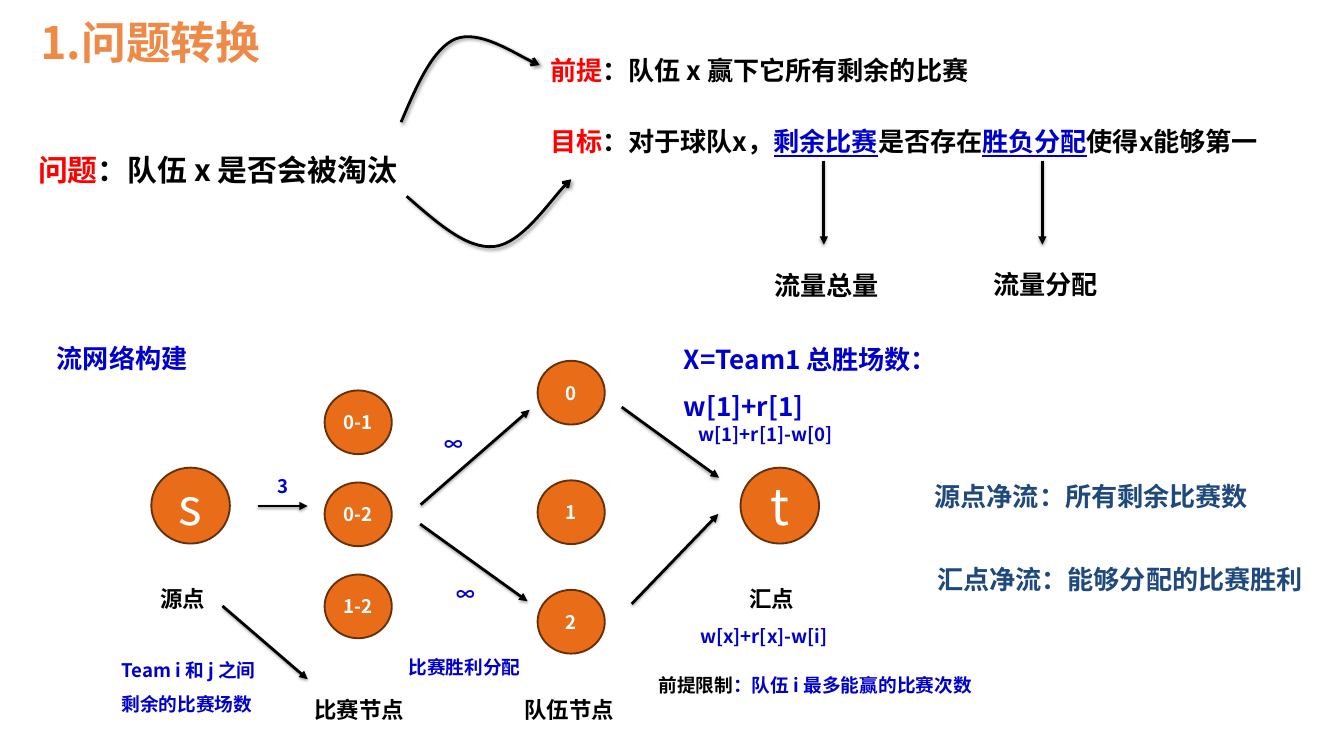
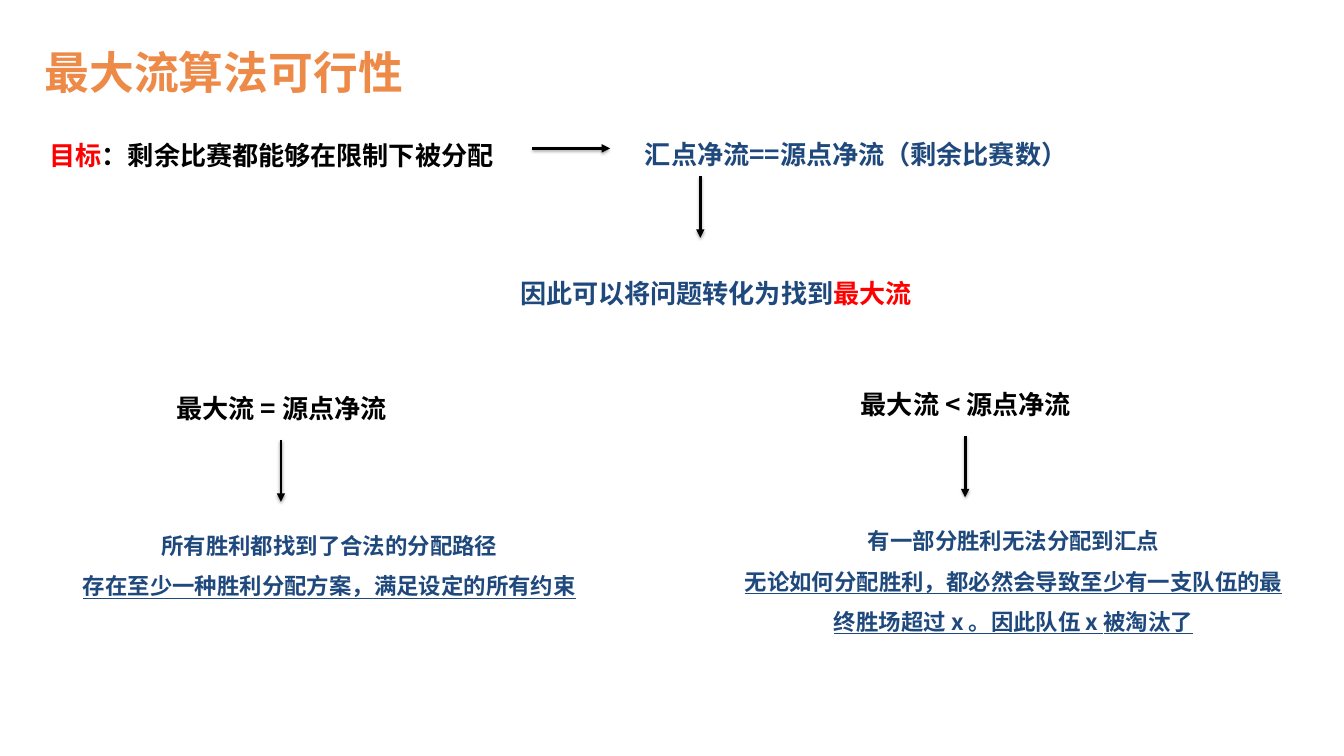
"""Two slides that turn the elimination problem into a maximum flow problem."""
from dataclasses import dataclass
from typing import NamedTuple

from lxml import etree
from pptx import Presentation
from pptx import util as u
from pptx.dml.color import RGBColor
from pptx.enum import shapes, text
from pptx.oxml import ns
from pptx.slide import Slide


class TypeSize(NamedTuple):
    """A type size in points and the height in cm of a one-line box."""
    pt: int
    height: float


@dataclass(frozen=True)
class Theme:
    """Colours and type sizes shared by the slides."""
    font: str = "Noto Sans CJK SC"
    orange: str = "E96D19"
    rim: str = "66300B"
    red: str = "FF0000"
    blue: str = "0000CC"
    navy: str = "1F497D"
    black: str = "000000"
    white: str = "FFFFFF"
    title: TypeSize = TypeSize(48, 2.31)
    question: TypeSize = TypeSize(32, 2.06)
    body: TypeSize = TypeSize(28, 1.83)
    caption: TypeSize = TypeSize(24, 1.63)
    small: TypeSize = TypeSize(20, 1.4)
    terminal: TypeSize = TypeSize(54, 2.87)
    stroke: float = 3
    title_alpha: int = 80


T = Theme()


class Span(NamedTuple):
    """A stretch of text in one colour."""
    text: str
    color: str = T.black
    underline: bool = False


class Label(NamedTuple):
    """A text box; each paragraph is a list of spans."""
    x: float
    y: float
    w: float
    paragraphs: list[list[Span]]
    size: TypeSize = T.body
    lines: int = 1
    centred: bool = False
    spacing: float = 1.5


class Node(NamedTuple):
    """A round vertex of the flow network."""
    x: float
    y: float
    w: float
    h: float
    text: str
    size: TypeSize = T.small
    bold: bool = True


class Arrow(NamedTuple):
    """A straight arrow between two points."""
    x1: float
    y1: float
    x2: float
    y2: float


class Shadow(NamedTuple):
    """A black outer shadow."""
    alpha: int
    blur: float
    dist: float
    angle: int


LINE_SHADOW = Shadow(35, 3.1, 1.8, 90)
CURVE_SHADOW = Shadow(40, 4, 3, 45)


def sub(parent, tag: str, **attrs) -> etree._Element:
    """Append a DrawingML child element."""
    return etree.SubElement(parent, ns.qn(tag), {k: str(v) for k, v in attrs.items()})


def style_run(r, size: TypeSize, color: str, **attrs) -> None:
    """Set the font of a run for Latin and East Asian text."""
    for k, v in dict(name=T.font, size=u.Pt(size.pt), **attrs).items():
        setattr(r.font, k, v)
    r.font.color.rgb = RGBColor.from_string(color)
    sub(r.font._element, "a:ea", typeface=T.font)


def style_arrow(sp, head: str, shadow: Shadow) -> None:
    """Give a line its stroke, arrowhead and shadow."""
    sp.line.color.rgb = RGBColor.from_string(T.black)
    sp.line.width = u.Pt(T.stroke)
    sub(sp.line._get_or_add_ln(), "a:tailEnd", type=head)
    effects = sub(sp._element.spPr, "a:effectLst")
    outer = sub(effects, "a:outerShdw", blurRad=u.Pt(shadow.blur), dist=u.Pt(shadow.dist),
                dir=shadow.angle * 60000, rotWithShape=0)
    sub(sub(outer, "a:srgbClr", val=T.black), "a:alpha", val=shadow.alpha * 1000)


def add_label(s: Slide, label: Label):
    """Draw a text box and return it."""
    sp = s.shapes.add_textbox(u.Cm(label.x), u.Cm(label.y), u.Cm(label.w),
                              u.Cm(label.size.height * label.lines))
    tf = sp.text_frame
    tf.word_wrap = True
    tf.auto_size = text.MSO_AUTO_SIZE.SHAPE_TO_FIT_TEXT
    for i, spans in enumerate(label.paragraphs):
        p = tf.add_paragraph() if i else tf.paragraphs[0]
        p.alignment = text.PP_ALIGN.CENTER if label.centred else text.PP_ALIGN.LEFT
        p.line_spacing = label.spacing
        for span in spans:
            r = p.add_run()
            r.text = span.text
            style_run(r, label.size, span.color, bold=True, underline=span.underline)
    return sp


def add_title(s: Slide, x: float, y: float, w: float, words: str) -> None:
    """Draw the translucent orange title."""
    sp = add_label(s, Label(x, y, w, [[Span(words, T.orange)]], T.title, 1, True, 1.0))
    for color in sp._element.iter(ns.qn("a:srgbClr")):
        sub(color, "a:alpha", val=T.title_alpha * 1000)


def add_node(s: Slide, node: Node) -> None:
    """Draw a vertex with its name."""
    sp = s.shapes.add_shape(shapes.MSO_SHAPE.OVAL, *map(u.Cm, node[:4]))
    sp.shadow.inherit = False
    sp.fill.solid()
    sp.fill.fore_color.rgb = RGBColor.from_string(T.orange)
    sp.line.color.rgb = RGBColor.from_string(T.rim)
    sp.line.width = u.Pt(2)
    tf = sp.text_frame
    tf.vertical_anchor = text.MSO_ANCHOR.MIDDLE
    p = tf.paragraphs[0]
    p.alignment = text.PP_ALIGN.CENTER
    r = p.add_run()
    r.text = node.text
    style_run(r, node.size, T.white, bold=node.bold)


def add_arrow(s: Slide, arrow: Arrow) -> None:
    """Draw a straight arrow."""
    sp = s.shapes.add_connector(shapes.MSO_CONNECTOR.STRAIGHT, *map(u.Cm, arrow))
    style_arrow(sp, "triangle", LINE_SHADOW)


def add_curve(s: Slide, points: list[tuple[float, float]]) -> None:
    """Draw a curved arrow from a start point and Bézier triples."""
    start, *rest = [(u.Cm(x), u.Cm(y)) for x, y in points]
    builder = s.shapes.build_freeform(*start)
    builder.add_line_segments(rest, close=False)
    sp = builder.convert_to_shape()
    steps = list(sp._element.iter(ns.qn("a:lnTo")))
    outline = steps[0].getparent()
    for i in range(0, len(steps), 3):
        bezier = sub(outline, "a:cubicBezTo")
        for step in steps[i:i + 3]:
            bezier.append(step[0])
            outline.remove(step)
    sp.fill.background()
    style_arrow(sp, "arrow", CURVE_SHADOW)


def draw(s: Slide, labels: list[Label], arrows: list[Arrow]) -> None:
    """Draw the labels and arrows of a slide."""
    for arrow in arrows:
        add_arrow(s, arrow)
    for label in labels:
        add_label(s, label)


def build_conversion(s: Slide) -> None:
    """Build the slide on the problem and its flow network."""
    add_title(s, -3.81, 0.43, 19, "1.问题转换")
    for i, name in enumerate(("0-1", "0-2", "1-2")):
        add_node(s, Node(12.27, 14.76 + 3.48 * i, 2.54, 2.41, name))
    for name, y in (("0", 13.64), ("1", 18.16), ("2", 22.3)):
        add_node(s, Node(20.32, y, 2.54, 2.41, name))
    for name, x in (("s", 5.72), ("t", 27.99)):
        add_node(s, Node(x, 17.68, 2.97, 2.87, name, T.terminal, False))

    goal = [Span("目标", T.red), Span("：对于球队x，"), Span("剩余比赛", T.blue, True),
            Span("是否存在"), Span("胜负分配", T.blue, True), Span("使得x能够第一")]
    labels = [
        Label(1.19, 4.93, 14.96, [[Span("问题", T.red), Span("：队伍 x 是否会被淘汰")]], T.question),
        Label(20.55, 1.32, 17.07, [[Span("前提", T.red), Span("：队伍 x 赢下它所有剩余的比赛")]]),
        Label(20.55, 4.04, 28.3, [goal]),
        Label(29.03, 9.45, 4.65, [[Span("流量总量")]]),
        Label(37.29, 9.42, 4.65, [[Span("流量分配")]]),
        Label(1.9, 12.22, 5.92, [[Span("流网络构建", T.blue)]]),
        Label(25.6, 12.27, 13.6, [[Span("X=Team1 总胜场数：w[1]+r[1]", T.blue)]]),
        Label(35.08, 17.45, 13.77, [[Span("源点净流：所有剩余比赛数", T.navy)]]),
        Label(35.18, 20.57, 14.58, [[Span("汇点净流：能够分配的比赛胜利", T.navy)]]),
        Label(24.64, 24.94, 12.83,
              [[Span("前提限制"), Span("：队伍 i 最多能赢的比赛次数", T.blue)]], T.small),
        Label(4.34, 24.36, 5.92, [[Span("Team i 和 j 之间剩余的比赛场数", T.blue)]], T.small, 2),
    ]
    captions = [(5.82, 21.49, 2.97, "源点"), (28.07, 21.49, 2.97, "汇点"),
                (11.63, 25.68, 4.65, "比赛节点"), (19.58, 25.68, 4.01, "队伍节点")]
    capacities = [(10.24, 17.42, 1.75, "3"), (16.56, 15.82, 1.73, "∞"),
                  (17.02, 21.49, 1.73, "∞"), (15.19, 24.26, 5.61, "比赛胜利分配"),
                  (26.16, 15.44, 6.58, "w[1]+r[1]-w[0]"), (26.21, 23.06, 5.94, "w[x]+r[x]-w[i]")]
    labels += [Label(x, y, w, [[Span(words)]], T.caption) for x, y, w, words in captions]
    labels += [Label(x, y, w, [[Span(words, T.blue)]], T.small) for x, y, w, words in capacities]
    draw(s, labels, [
        Arrow(31.14, 6.07, 31.14, 9.25), Arrow(39.4, 6.07, 39.4, 9.25),
        Arrow(9.75, 19.13, 11.63, 19.13), Arrow(8.41, 22.91, 11.63, 25.68),
        Arrow(15.88, 19.81, 19.94, 22.73), Arrow(15.9, 19.08, 20.02, 15.49),
        Arrow(23.5, 15.39, 27.18, 18.06), Arrow(23.88, 22.83, 27.15, 19.43),
    ])
    add_curve(s, [(15.37, 7.42), (16.51, 8.41), (17.63, 9.42), (18.67, 9.32),
                  (19.71, 9.22), (21.11, 7.14), (21.59, 6.78)])
    add_curve(s, [(15.16, 4.62), (15.75, 3.23), (16.36, 1.83), (17.22, 1.47),
                  (18.11, 1.12), (19.89, 2.29), (20.4, 2.46)])


def add_case(s: Slide, dx: float, dy: float, sign: str, result: str, conclusion: str,
             lines: int) -> None:
    """Draw one outcome of the flow comparison."""
    outcome = [[Span(result, T.navy)], [Span(conclusion, T.navy, True)]]
    draw(s, [
        Label(6.43 + dx, 14.12 + dy, 10.92, [[Span(f"最大流 {sign} 源点净流")]]),
        Label(1.73 + dx, 19.48 + dy, 21.44, outcome, T.caption, lines, True),
    ], [Arrow(10.62 + dx, 16.64 + dy, 10.62 + dx, 18.97 + dy)])


def build_feasibility(s: Slide) -> None:
    """Build the slide on why maximum flow answers the question."""
    add_title(s, 0.84, 1.55, 15.24, "最大流算法可行性")
    draw(s, [
        Label(1.63, 4.55, 17.42, [[Span("目标", T.red), Span("：剩余比赛都能够在限制下被分配")]]),
        Label(24.13, 4.52, 16.94, [[Span("汇点净流==源点净流（剩余比赛数）", T.navy)]]),
        Label(19.41, 9.78, 16.38,
              [[Span("因此可以将问题转化为找到", T.navy), Span("最大流", T.red)]]),
    ], [Arrow(20.12, 5.61, 23.06, 5.61), Arrow(26.47, 6.65, 26.47, 8.99)])
    add_case(s, 0, 0, "=", "所有胜利都找到了合法的分配路径",
             "存在至少一种胜利分配方案，满足设定的所有约束", 2)
    add_case(s, 25.86, -0.17, "<", "有一部分胜利无法分配到汇点",
             "无论如何分配胜利，都必然会导致至少有一支队伍的最终胜场超过 x 。因此队伍 x 被淘汰了", 3)


def main() -> None:
    """Build and save the presentation."""
    prs = Presentation()
    prs.slide_width, prs.slide_height = u.Cm(50.8), u.Cm(28.58)
    for build in (build_conversion, build_feasibility):
        build(prs.slides.add_slide(prs.slide_layouts[6]))
    prs.save("out.pptx")


if __name__ == "__main__":
    main()
